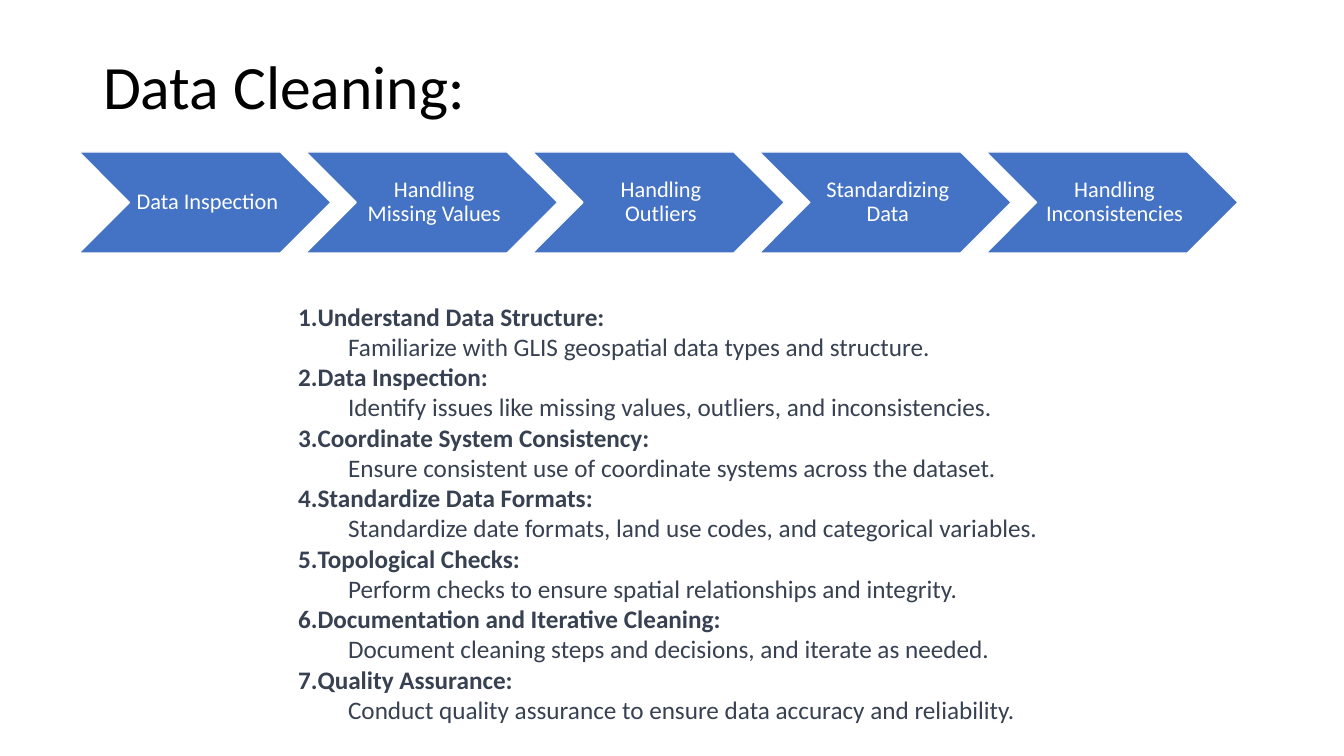
import dataclasses

import lxml.etree
import pptx
import pptx.dml.color
import pptx.enum.shapes
import pptx.enum.text
import pptx.oxml.ns
import pptx.util

EMU_PER_PX = 914400 / 100.8


@dataclasses.dataclass(frozen=True)
class Theme:
    font: str = "Calibri"
    title_size: int = 44
    step_size: int = 16
    list_size: int = 18
    black: str = "000000"
    white: str = "FFFFFF"
    blue: str = "4472C4"
    slate: str = "374151"


THEME = Theme()

STEPS = [
    "Data Inspection",
    "Handling Missing Values",
    "Handling Outliers",
    "Standardizing Data",
    "Handling Inconsistencies",
]

TASKS = [
    ("Understand Data Structure:",
     "Familiarize with GLIS geospatial data types and structure."),
    ("Data Inspection:",
     "Identify issues like missing values, outliers, and inconsistencies."),
    ("Coordinate System Consistency:",
     "Ensure consistent use of coordinate systems across the dataset."),
    ("Standardize Data Formats:",
     "Standardize date formats, land use codes, and categorical variables."),
    ("Topological Checks:",
     "Perform checks to ensure spatial relationships and integrity."),
    ("Documentation and Iterative Cleaning:",
     "Document cleaning steps and decisions, and iterate as needed."),
    ("Quality Assurance:",
     "Conduct quality assurance to ensure data accuracy and reliability."),
]


def px(length):
    return pptx.util.Emu(round(length * EMU_PER_PX))


def colour(code):
    return pptx.dml.color.RGBColor.from_string(code)


def place(shape, box):
    shape.left, shape.top, shape.width, shape.height = map(px, box)


def set_frame(frame, anchor):
    frame.word_wrap = True
    frame.auto_size = pptx.enum.text.MSO_AUTO_SIZE.NONE
    frame.vertical_anchor = anchor


def add_span(para, text, size, code, bold=False):
    span = para.add_run()
    span.text = text
    span.font.name = THEME.font
    span.font.size = pptx.util.Pt(size)
    span.font.bold = bold
    span.font.color.rgb = colour(code)


def set_bullet(para, indent, numbered):
    props = para._p.get_or_add_pPr()
    props.set("marL", str(px(indent)))
    props.set("indent", "0")
    tag = "a:buAutoNum" if numbered else "a:buNone"
    bullet = lxml.etree.SubElement(props, pptx.oxml.ns.qn(tag))
    if numbered:
        bullet.set("type", "arabicPeriod")


def fill_title(title, box):
    place(title, box)
    set_frame(title.text_frame, pptx.enum.text.MSO_ANCHOR.MIDDLE)
    para = title.text_frame.paragraphs[0]
    para.alignment = pptx.enum.text.PP_ALIGN.LEFT
    para.line_spacing = 0.9
    add_span(para, "Data Cleaning:", THEME.title_size, THEME.black)


def add_process(page, box):
    left, top, width, height = box
    # Each chevron overlaps the next by a tenth of its width
    step_width = width / (1 + 0.9 * (len(STEPS) - 1))
    for index, label in enumerate(STEPS):
        step_left = left + index * 0.9 * step_width
        step = page.shapes.add_shape(
            pptx.enum.shapes.MSO_SHAPE.CHEVRON,
            px(step_left), px(top), px(step_width), px(height))
        step.shadow.inherit = False
        step.fill.solid()
        step.fill.fore_color.rgb = colour(THEME.blue)
        step.line.color.rgb = colour(THEME.white)
        step.line.width = pptx.util.Pt(1)

        frame = step.text_frame
        set_frame(frame, pptx.enum.text.MSO_ANCHOR.MIDDLE)
        frame.margin_left = px(7)
        frame.margin_top = frame.margin_right = frame.margin_bottom = px(2)
        para = frame.paragraphs[0]
        para.alignment = pptx.enum.text.PP_ALIGN.CENTER
        para.line_spacing = 0.9
        add_span(para, label, THEME.step_size, THEME.white)


def fill_tasks(body, box):
    place(body, box)
    frame = body.text_frame
    set_frame(frame, pptx.enum.text.MSO_ANCHOR.TOP)
    lines = [(text, level) for task in TASKS for level, text in enumerate(task)]
    for index, (text, level) in enumerate(lines):
        para = frame.add_paragraph() if index else frame.paragraphs[0]
        para.level = level
        para.line_spacing = 1.0
        para.space_before = para.space_after = pptx.util.Pt(0)
        heading = level == 0
        set_bullet(para, 50 * level, numbered=heading)
        add_span(para, text, THEME.list_size, THEME.slate, bold=heading)


def main():
    deck = pptx.Presentation()
    deck.slide_width, deck.slide_height = px(1344), px(756)
    page = deck.slides.add_slide(deck.slide_layouts[1])
    page.background.fill.solid()
    page.background.fill.fore_color.rgb = colour(THEME.white)

    # Heading
    fill_title(page.shapes.title, (93, 40, 388, 99))
    # Cleaning steps
    add_process(page, (79, 152, 1159, 101))
    # Numbered tasks
    fill_tasks(page.placeholders[1], (288, 296, 768, 440))

    deck.save("out.pptx")


if __name__ == "__main__":
    main()
